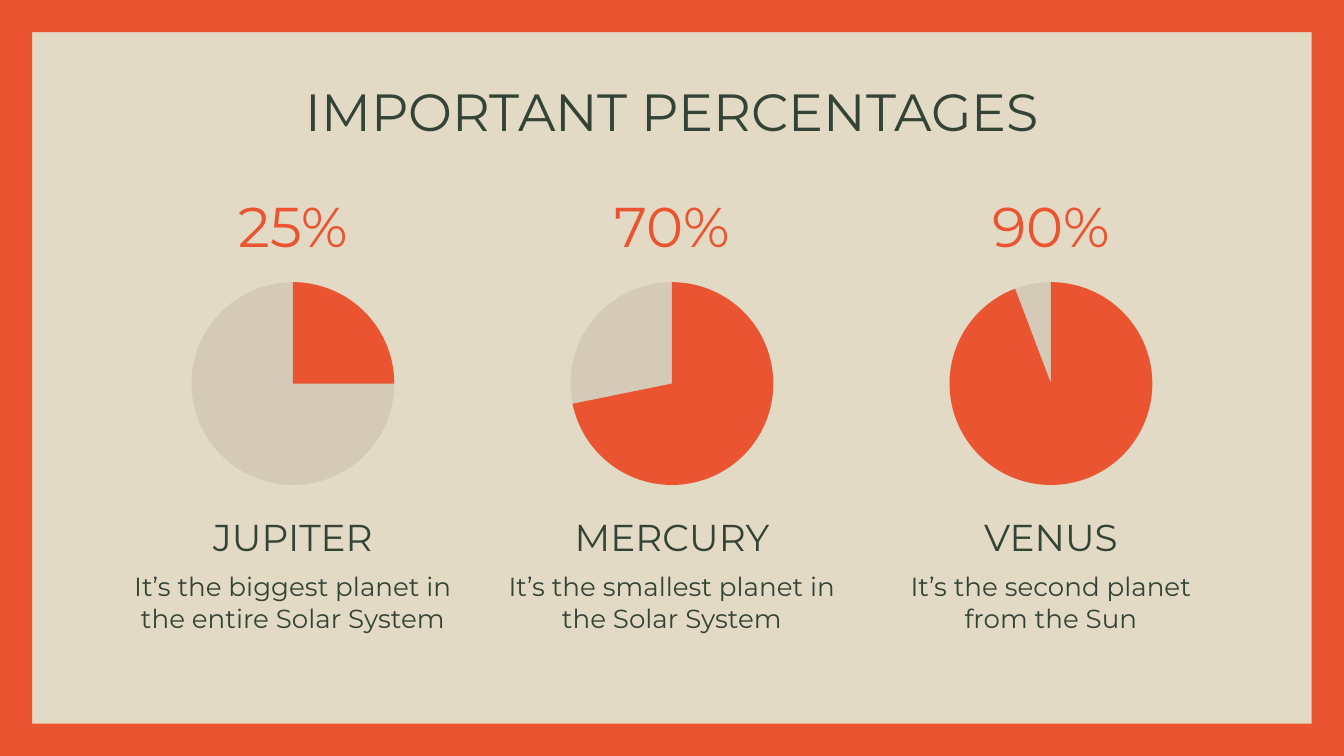
from pptx import Presentation
from pptx.dml.color import RGBColor
from pptx.enum.shapes import MSO_SHAPE
from pptx.enum.text import MSO_ANCHOR, PP_ALIGN
from pptx.util import Inches, Pt

OVAL, PIE = MSO_SHAPE.OVAL, MSO_SHAPE.PIE
TOP, BOTTOM = MSO_ANCHOR.TOP, MSO_ANCHOR.BOTTOM
CENTER = PP_ALIGN.CENTER

COLORS = {"paper": "E3DAC5", "accent": "EA5430", "ink": "334436", "disc": "D4CAB7"}
FONT = "Montserrat"
W, H = 10, 10 * 9 / 16
BORDER = 0.24
MARGIN, GAP = 0.79, 0.04
CONTENT_W = W - 2 * MARGIN
PIE_START = 270
DEGREE = 0.6

PLANETS = [
    ("25%", 0, "JUPITER", "It’s the biggest planet in the entire Solar System"),
    ("70%", 168.5, "MERCURY", "It’s the smallest planet in the Solar System"),
    ("90%", 249.3, "VENUS", "It’s the second planet from the Sun"),
]


def color(name):
    return RGBColor.from_string(COLORS[name])


def paint(sp, fill):
    sp.shadow.inherit = False
    sp.fill.solid()
    sp.fill.fore_color.rgb = color(fill)
    sp.line.fill.background()


def add_text(s, text, box, size=14, ink="ink", anchor=TOP):
    tf = s.shapes.add_textbox(*map(Inches, box)).text_frame
    tf.word_wrap = True
    tf.vertical_anchor = anchor
    tf.margin_left = tf.margin_right = tf.margin_top = tf.margin_bottom = Inches(0.1)
    p = tf.paragraphs[0]
    p.alignment = CENTER
    r = p.add_run()
    r.text = text
    r.font.name = FONT
    r.font.size = Pt(size)
    r.font.color.rgb = color(ink)


def add_frame(s, box, border):
    x, y, w, h = map(Inches, box)
    b = Inches(border)
    right, bottom = x + w, y + h
    inner = [(x + b, y + b), (x + b, bottom - b), (right - b, bottom - b), (right - b, y + b)]
    outer = [(right, y), (right, bottom), (x, bottom), (x, y)]
    fb = s.shapes.build_freeform(*inner[0])
    fb.add_line_segments(inner[1:], close=True)
    fb.move_to(*outer[0])
    fb.add_line_segments(outer[1:], close=True)
    paint(fb.convert_to_shape(), "accent")


def add_planet(s, box, percent, end_angle, name, description):
    x, y, w, h = box
    size = 0.447 * h
    disc = [Inches(v) for v in (x + (w - size) / 2, y + 0.237 * h, size, size)]
    add_text(s, percent, (x + w / 4, y, w / 2, 0.216 * h), size=30, ink="accent", anchor=BOTTOM)
    paint(s.shapes.add_shape(OVAL, *disc), "disc")
    pie = s.shapes.add_shape(PIE, *disc)
    pie.adjustments[0] = PIE_START * DEGREE
    pie.adjustments[1] = end_angle * DEGREE
    paint(pie, "accent")
    add_text(s, name, (x, y + 0.704 * h, w, 0.172 * h), size=20, anchor=BOTTOM)
    add_text(s, description, (x, y + 0.843 * h, w, 0.157 * h))


def add_planets(s, box):
    x, y, w, h = box
    col_w = (w - GAP * (len(PLANETS) - 1)) / len(PLANETS)
    for i, planet in enumerate(PLANETS):
        add_planet(s, (x + i * (col_w + GAP), y, col_w, h), *planet)


def main():
    prs = Presentation()
    prs.slide_width, prs.slide_height = Inches(W), Inches(H)
    s = prs.slides.add_slide(prs.slide_layouts[6])
    s.background.fill.solid()
    s.background.fill.fore_color.rgb = color("paper")
    add_frame(s, (0, 0, W, H), BORDER)
    add_text(s, "IMPORTANT PERCENTAGES", (MARGIN, 0.49, CONTENT_W, 0.63), size=28)
    add_planets(s, (MARGIN, 1.3, CONTENT_W, 0.6 * H))
    prs.save("out.pptx")


if __name__ == "__main__":
    main()
